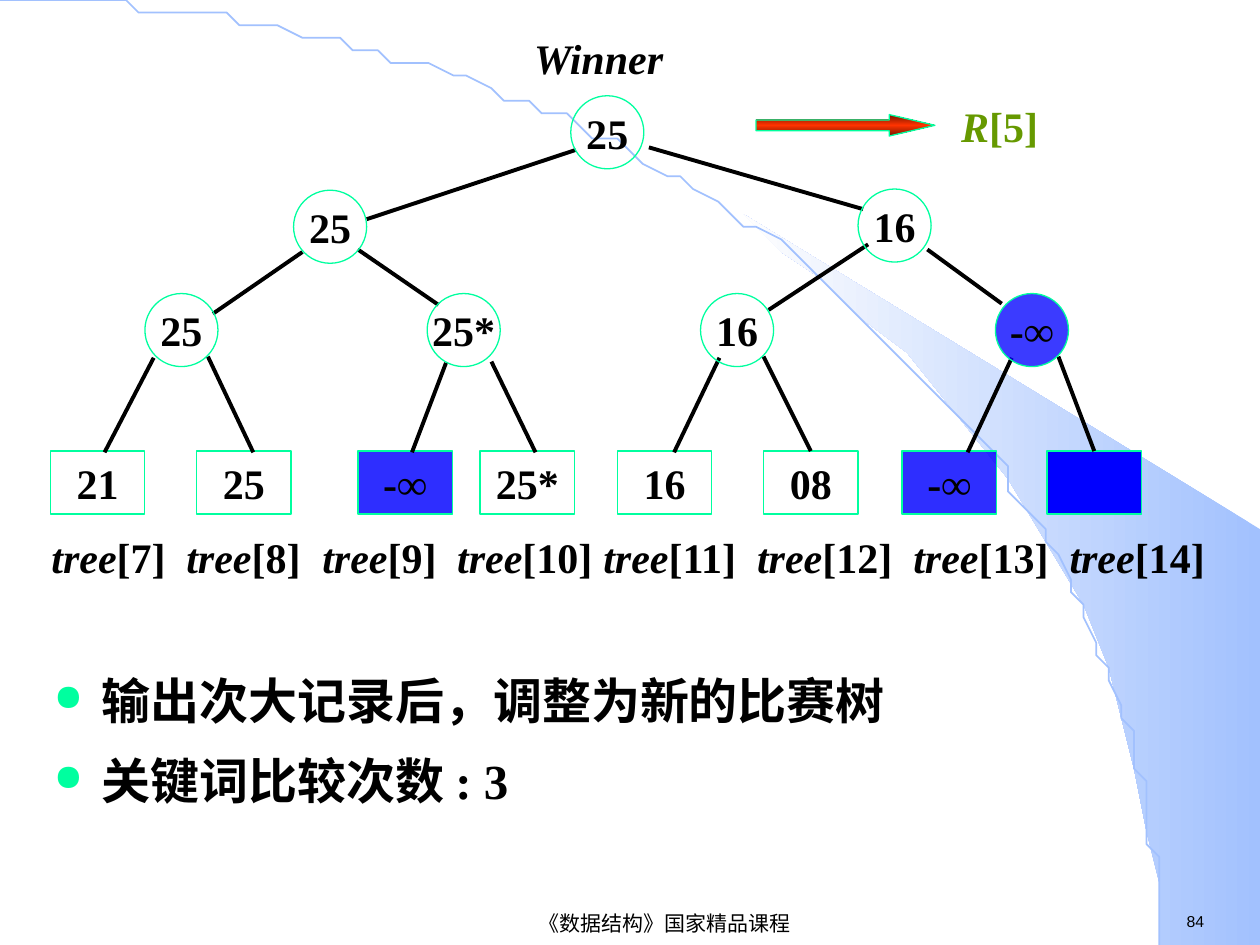
import math
from dataclasses import dataclass

from lxml import etree
from pptx import Presentation
from pptx import util as u
from pptx.dml.color import RGBColor
from pptx.enum import shapes, text
from pptx.oxml import ns

COLUMNS, ROWS = 100, 75
CELL = u.Inches(10) // COLUMNS
NODE_SIZE, LEAF_WIDTH, LEAF_HEIGHT, LEAF_TOP = 5.8, 7.5, 5, 35.8


@dataclass(frozen=True)
class Theme:
    font: str = "Times New Roman"
    footer_font: str = "Arial"
    ink: str = "000000"
    outline: str = "00FF9F"
    spent: str = "0000FF"
    result: str = "669900"
    sweep: str = "A2C1FE"
    sweep_end: str = "FEFEFE"
    arrow_dark: str = "751700"
    arrow_light: str = "FF3300"
    body_size: float = 28
    tree_size: float = 24
    footer_size: float = 12
    number_size: float = 9
    edge_width: float = 2.25
    outline_width: float = 0.75


THEME = Theme()

# left, top, label, opacity of the fill in percent (0 for no fill)
NODES = [
    (45.3, 7.6, "25", 0),
    (23.3, 15.1, "25", 0), (68.1, 15, "16", 0),
    (11.5, 23.3, "25", 0), (33.9, 23.3, "25*", 0),
    (55.6, 23.3, "16", 0), (79, 23.3, "-∞", 77),
]
# left, label, opacity; tree[7] to tree[14]
LEAVES = [
    (4, "21", 0), (15.6, "25", 0), (28.4, "-∞", 82), (38.1, "25*", 0),
    (49, "16", 0), (60.6, "08", 0), (71.6, "-∞", 82), (83.1, "", 100),
]
BRANCHES = [
    (45.7, 11.9, 29.1, 17.4), (51.5, 11.7, 68.5, 16.6),
    (24, 20, 16.9, 24.9), (28.4, 19.8, 34.8, 24.2),
    (68.9, 19.4, 61, 24.6), (73.6, 19.8, 79.5, 24.1),
]
# start x, start y, end x; None ends at the middle of the leaf's top
LEAF_BRANCHES = [
    (12.2, 28.4, 8.3), (16.5, 28.3, 20.1), (35.4, 28.8, 32.7), (39, 28.7, 42.5),
    (57.1, 28.4, 53.5), (60.6, 28.3, None), (80.3, 28.4, 76.8), (84, 28.3, None),
]
LABEL_TABS = [10.7, 21.5, 32.2, 43.8, 56, 68.4, 80.8]
BAND = [
    (92, 74.8), (99.9, 74.9), (99.9, 42.3), (58.9, 17.3), (62.4, 19.9),
    (65.3, 22.2), (68.5, 25), (71.6, 28), (76.2, 33), (80.3, 38.4),
    (83.2, 43.1), (85.8, 47.9), (87.8, 52.8), (89.3, 57.2), (90.3, 60.9),
    (91.3, 65.6), (91.7, 69.6),
]


def cells(*counts):
    return [u.Emu(round(count * CELL)) for count in counts]


def color(value):
    return RGBColor.from_string(value)


def add_element(parent, tag, **attributes):
    child = etree.SubElement(parent, ns.qn(tag))
    for name, value in attributes.items():
        child.set(name, str(value))
    return child


def style(shape, line=None, width=1, fill=None, opacity=100):
    shape.shadow.inherit = False
    if fill:
        shape.fill.solid()
        shape.fill.fore_color.rgb = color(fill)
        if opacity < 100:
            solid = shape._element.spPr.find(ns.qn("a:solidFill"))
            add_element(solid[0], "a:alpha", val=opacity * 1000)
    else:
        shape.fill.background()
    if line:
        shape.line.color.rgb = color(line)
        shape.line.width = u.Pt(width)
    else:
        shape.line.fill.background()


def gradient(shape, colors, angle):
    """Fill with evenly spaced gradient stops."""
    shape.fill.gradient()
    shape.fill.gradient_angle = angle
    stops = shape._element.spPr.find(ns.qn("a:gradFill")).find(ns.qn("a:gsLst"))
    for stop in list(stops):
        stops.remove(stop)
    for index, value in enumerate(colors):
        stop = add_element(stops, "a:gs", pos=100000 * index // (len(colors) - 1))
        add_element(stop, "a:srgbClr", val=value)


def write(shape, *paragraphs, size=THEME.tree_size, font=THEME.font, ink=THEME.ink,
          bold=True, align=None, middle=False, wrap=False, grow=False,
          spacing=None, bullet=None, tabs=()):
    """Write paragraphs, each a list of (text, italic) runs."""
    frame = shape.text_frame
    frame.word_wrap = wrap
    fit = text.MSO_AUTO_SIZE
    frame.auto_size = fit.SHAPE_TO_FIT_TEXT if grow else fit.NONE
    frame.vertical_anchor = text.MSO_ANCHOR.MIDDLE if middle else text.MSO_ANCHOR.TOP
    for index, runs in enumerate(paragraphs):
        paragraph = frame.add_paragraph() if index else frame.paragraphs[0]
        properties = paragraph._p.get_or_add_pPr()
        if bullet:
            properties.set("marL", str(u.Inches(0.38)))
            properties.set("indent", str(-u.Inches(0.38)))
            add_element(add_element(properties, "a:buClr"), "a:srgbClr", val=THEME.outline)
            add_element(properties, "a:buSzPct", val=75000)
            add_element(properties, "a:buChar", char=bullet)
        if tabs:
            stops = add_element(properties, "a:tabLst")
            for position in cells(*tabs):
                add_element(stops, "a:tab", pos=position, algn="l")
        paragraph.alignment = align
        paragraph.line_spacing = spacing
        for content, italic in runs:
            run = paragraph.add_run()
            run.text = content
            run.font.name, run.font.size = font, u.Pt(size)
            run.font.bold, run.font.italic = bold, italic
            run.font.color.rgb = color(ink)


def text_box(slide, place, *paragraphs, **text_format):
    write(slide.shapes.add_textbox(*cells(*place)), *paragraphs, **text_format)


def tree_item(slide, preset, place, label, opacity):
    shape = slide.shapes.add_shape(preset, *cells(*place))
    style(shape, THEME.outline, THEME.outline_width,
          THEME.spent if opacity else None, opacity)
    if label:
        write(shape, [(label, False)], align=text.PP_ALIGN.CENTER, middle=True)
    return shape


def branch(slide, start_x, start_y, end_x, end_y, leaf=None):
    connector = slide.shapes.add_connector(
        shapes.MSO_CONNECTOR.STRAIGHT, *cells(start_x, start_y, end_x, end_y))
    if leaf is not None:
        connector.end_connect(leaf, 0)
    connector.line.color.rgb = color(THEME.ink)
    connector.line.width = u.Pt(THEME.edge_width)
    add_element(connector._element.spPr, "a:effectLst")


def outline(slide, points, close):
    builder = slide.shapes.build_freeform(*points[0], scale=CELL)
    builder.add_line_segments(points[1:], close=close)
    return builder.convert_to_shape()


def backdrop(slide):
    band = outline(slide, BAND, True)
    style(band)
    gradient(band, [THEME.sweep, THEME.sweep_end], 180)
    steps = 90
    angles = [math.pi / 2 * step / steps for step in range(steps + 1)]
    arc = [(92 * math.sin(a), 74.9 * (1 - math.cos(a))) for a in angles]
    style(outline(slide, arc, False), THEME.sweep)


def tree(slide):
    leaves = [tree_item(slide, shapes.MSO_SHAPE.RECTANGLE,
                        (left, LEAF_TOP, LEAF_WIDTH, LEAF_HEIGHT), label, opacity)
              for left, label, opacity in LEAVES]
    for ends in BRANCHES:
        branch(slide, *ends)
    for (x, y, end_x), leaf in zip(LEAF_BRANCHES, leaves):
        branch(slide, x, y, end_x or x, LEAF_TOP + 0.1, None if end_x else leaf)
    for left, top, label, opacity in NODES:
        tree_item(slide, shapes.MSO_SHAPE.OVAL,
                  (left, top, NODE_SIZE, NODE_SIZE), label, opacity)
    labels = []
    for index in range(7, 15):
        ending = "\t" if index < 14 else ""
        labels += [("tree", True), (f"[{index}]{ending}", False)]
    text_box(slide, (3.1, 41.7, 94.2, 5), labels, wrap=True, tabs=LABEL_TABS)


def result(slide):
    text_box(slide, (41.4, 2.1, 13.2, 5), [("Winner", True)], grow=True)
    arrow = slide.shapes.add_shape(shapes.MSO_SHAPE.RIGHT_ARROW, *cells(60, 9.1, 14.2, 1.7))
    arrow.adjustments[1] = 2.13
    style(arrow, THEME.outline, THEME.outline_width)
    gradient(arrow, [THEME.arrow_dark, THEME.arrow_light, THEME.arrow_dark], 90)
    text_box(slide, (75.3, 7.5, 8.1, 5), [("R", True), ("[5]", False)],
             ink=THEME.result, grow=True)


def main():
    presentation = Presentation()
    presentation.slide_width, presentation.slide_height = cells(COLUMNS, ROWS)
    slide = presentation.slides.add_slide(presentation.slide_layouts[6])
    backdrop(slide)
    text_box(slide, (93.2, 71.9, 7.7, 2.5), [("84", False)], grow=True,
             size=THEME.number_size, font=THEME.footer_font, bold=False)
    text_box(slide, (24, 72.1, 57.5, 2.4), [("《数据结构》国家精品课程", False)],
             size=THEME.footer_size, font=THEME.footer_font, bold=False,
             align=text.PP_ALIGN.CENTER, middle=True)
    text_box(slide, (3.3, 51.1, 93.5, 20.3),
             [("输出次大记录后，调整为新的比赛树", False)], [("关键词比较次数 : 3", False)],
             size=THEME.body_size, align=text.PP_ALIGN.JUSTIFY, wrap=True,
             spacing=1.35, bullet="●")
    tree(slide)
    result(slide)
    presentation.save("out.pptx")


if __name__ == "__main__":
    main()
